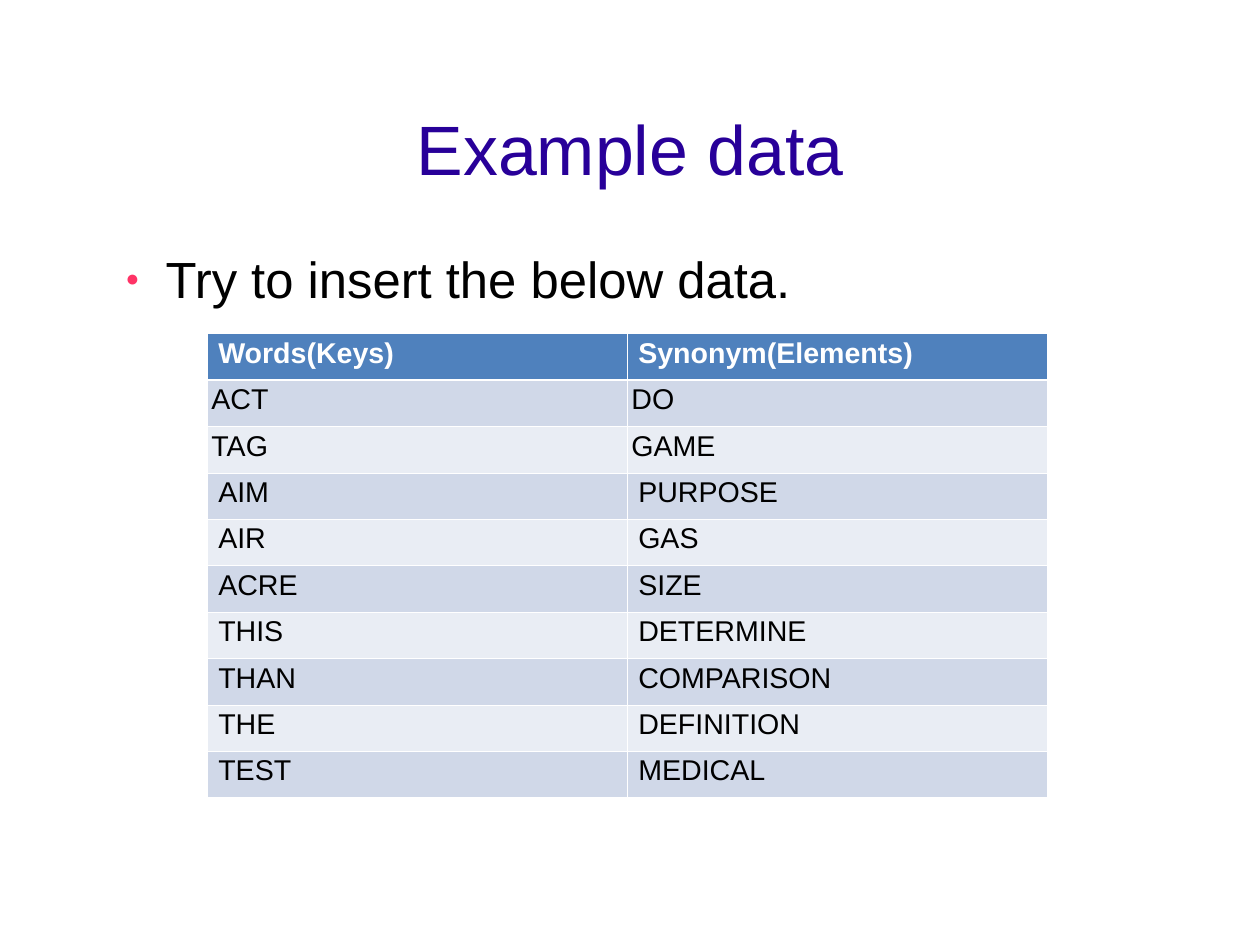
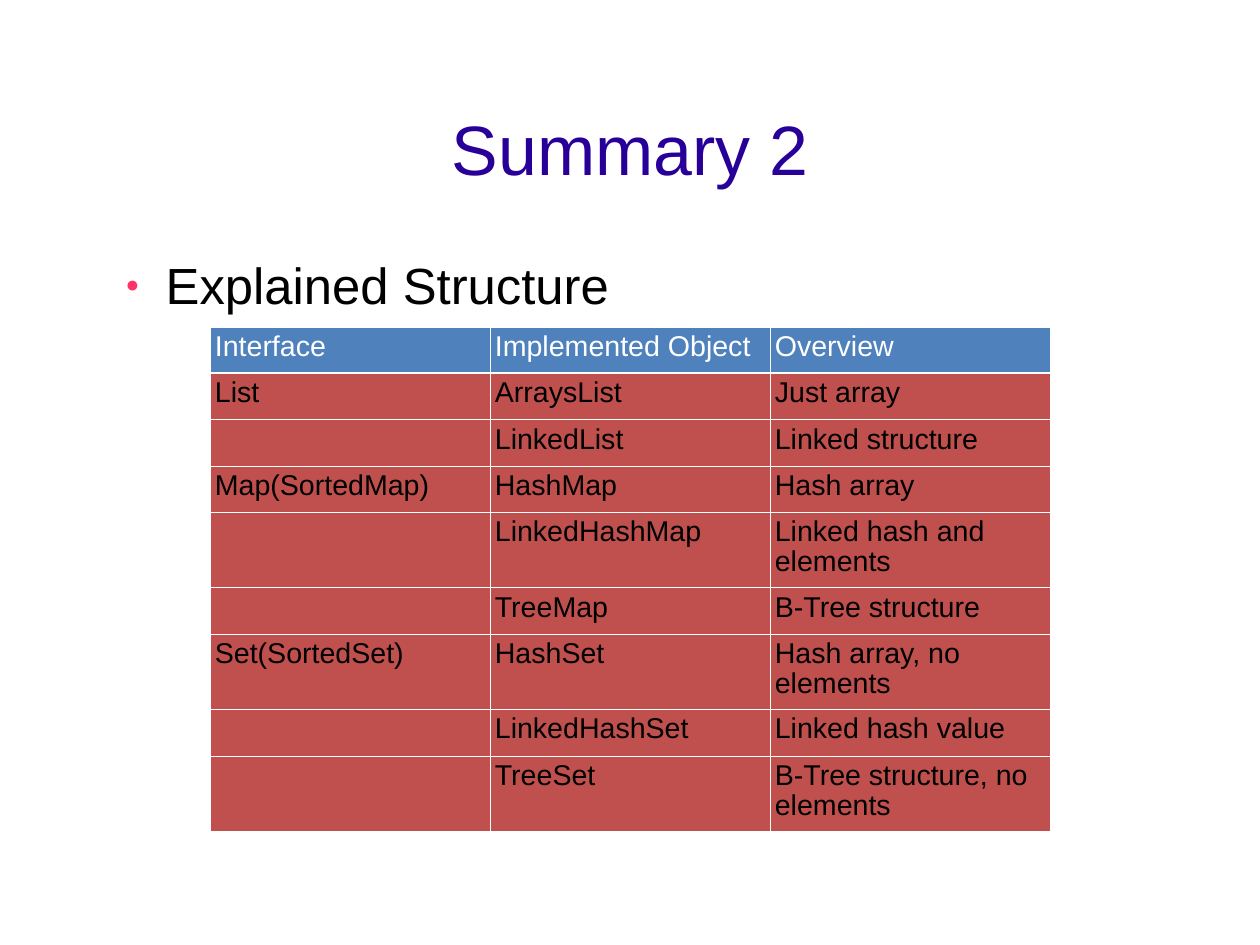
import pptx
import pptx.dml.color
import pptx.enum.text
import pptx.oxml
import pptx.oxml.ns
import pptx.util

Inches = pptx.util.Inches
Pt = pptx.util.Pt

TITLE, BULLET, BLACK, WHITE = "280099", "FF3366", "000000", "FFFFFF"
HEADER, BAND_DARK, BAND_LIGHT, RED = "4F81BD", "D0D8E8", "E9EDF4", "C0504D"
NAMESPACE = pptx.oxml.ns.nsdecls("a")
NARROW, WIDE = 0.04, 0.1

SLIDES = [
    {
        "title": "Example data",
        "bullet": "Try to insert the below data.",
        "bullet_top": 2.17,
        "left": 1.81,
        "top": 2.92,
        "bold_header": True,
        "bands": [BAND_DARK, BAND_LIGHT],
        "narrow_rows": [1, 2],
        "tall_rows": [],
        "rows": [
            ["Words(Keys)", "Synonym(Elements)"],
            ["ACT", "DO"],
            ["TAG", "GAME"],
            ["AIM", "PURPOSE"],
            ["AIR", "GAS"],
            ["ACRE", "SIZE"],
            ["THIS", "DETERMINE"],
            ["THAN", "COMPARISON"],
            ["THE", "DEFINITION"],
            ["TEST", "MEDICAL"],
        ],
    },
    {
        "title": "Summary 2",
        "bullet": "Explained Structure",
        "bullet_top": 2.22,
        "left": 1.84,
        "top": 2.86,
        "bold_header": False,
        "bands": [RED],
        "narrow_rows": range(9),
        "tall_rows": [4, 6, 8],
        "rows": [
            ["Interface", "Implemented Object", "Overview"],
            ["List", "ArraysList", "Just array"],
            ["", "LinkedList", "Linked structure"],
            ["Map(SortedMap)", "HashMap", "Hash array"],
            ["", "LinkedHashMap", "Linked hash and elements"],
            ["", "TreeMap", "B-Tree structure"],
            ["Set(SortedSet)", "HashSet", "Hash array, no elements"],
            ["", "LinkedHashSet", "Linked hash value"],
            ["", "TreeSet", "B-Tree structure, no elements"],
        ],
    },
]


def rgb(value):
    return pptx.dml.color.RGBColor.from_string(value)


def add_run(paragraph, text, size, color, bold=False):
    run = paragraph.add_run()
    run.text = text
    for name, value in {"name": "Arial", "size": Pt(size), "bold": bold}.items():
        setattr(run.font, name, value)
    run.font.color.rgb = rgb(color)


presentation = pptx.Presentation()
presentation.slide_width = Inches(28 / 2.54)
presentation.slide_height = Inches(21 / 2.54)
table_width, row_height, tall_height = 7.35, 4.06 / 10, 0.65
frame_format = {"word_wrap": True, "margin_left": 0, "margin_right": 0, "margin_top": 0, "margin_bottom": 0}

for content in SLIDES:
    slide = presentation.slides.add_slide(presentation.slide_layouts[6])
    title_box = slide.shapes.add_textbox(Inches(0.79), Inches(0.65), Inches(9.45), Inches(1.28))
    bullet_box = slide.shapes.add_textbox(Inches(0.98), Inches(content["bullet_top"]), Inches(9.06), Inches(4.46))
    for box in (title_box, bullet_box):
        for name, value in frame_format.items():
            setattr(box.text_frame, name, value)

    title_box.text_frame.vertical_anchor = pptx.enum.text.MSO_ANCHOR.MIDDLE
    paragraph = title_box.text_frame.paragraphs[0]
    paragraph.alignment = pptx.enum.text.PP_ALIGN.CENTER
    add_run(paragraph, content["title"], 44, TITLE)

    paragraph = bullet_box.text_frame.paragraphs[0]
    properties = paragraph._p.get_or_add_pPr()
    properties.set("marL", str(Inches(0.47)))
    properties.set("indent", str(Inches(-0.35)))
    for element in (
        f'<a:buClr {NAMESPACE}><a:srgbClr val="{BULLET}"/></a:buClr>',
        f'<a:buSzPct {NAMESPACE} val="45000"/>',
        f'<a:buFont {NAMESPACE} typeface="Arial"/>',
        f'<a:buChar {NAMESPACE} char="●"/>',
    ):
        properties.append(pptx.oxml.parse_xml(element))
    paragraph.space_after = Pt(14.1)
    add_run(paragraph, content["bullet"], 32, BLACK)

    rows = content["rows"]
    heights = [tall_height if index in content["tall_rows"] else row_height for index in range(len(rows))]
    table = slide.shapes.add_table(
        len(rows), len(rows[0]), Inches(content["left"]), Inches(content["top"]),
        Inches(table_width), Inches(sum(heights)),
    ).table
    table.first_row = False
    table.horz_banding = False
    for column in table.columns:
        column.width = Inches(table_width / len(rows[0]))

    for row_index, texts in enumerate(rows):
        table.rows[row_index].height = Inches(heights[row_index])
        is_header = row_index == 0
        fill = HEADER if is_header else content["bands"][(row_index - 1) % len(content["bands"])]
        margin = Inches(NARROW if row_index in content["narrow_rows"] else WIDE)
        border_widths = {
            "lnL": 0.45,
            "lnR": 0.45,
            "lnT": 1.47 if row_index == 1 else 0.45,
            "lnB": 1.47 if is_header else 0.45,
        }
        for column_index, text in enumerate(texts):
            cell = table.cell(row_index, column_index)
            cell_format = {
                "margin_left": margin, "margin_right": margin,
                "margin_top": Inches(0.05), "margin_bottom": Inches(0.05),
            }
            for name, value in cell_format.items():
                setattr(cell, name, value)
            cell_properties = cell._tc.get_or_add_tcPr()
            for tag, width in border_widths.items():
                cell_properties.append(pptx.oxml.parse_xml(
                    f'<a:{tag} {NAMESPACE} w="{Pt(width)}"><a:solidFill>'
                    f'<a:srgbClr val="{WHITE}"/></a:solidFill></a:{tag}>'
                ))
            cell.fill.solid()
            cell.fill.fore_color.rgb = rgb(fill)
            if text:
                paragraph = cell.text_frame.paragraphs[0]
                paragraph.line_spacing = 0.93
                add_run(paragraph, text, 18, WHITE if is_header else BLACK, is_header and content["bold_header"])

presentation.save("out.pptx")
